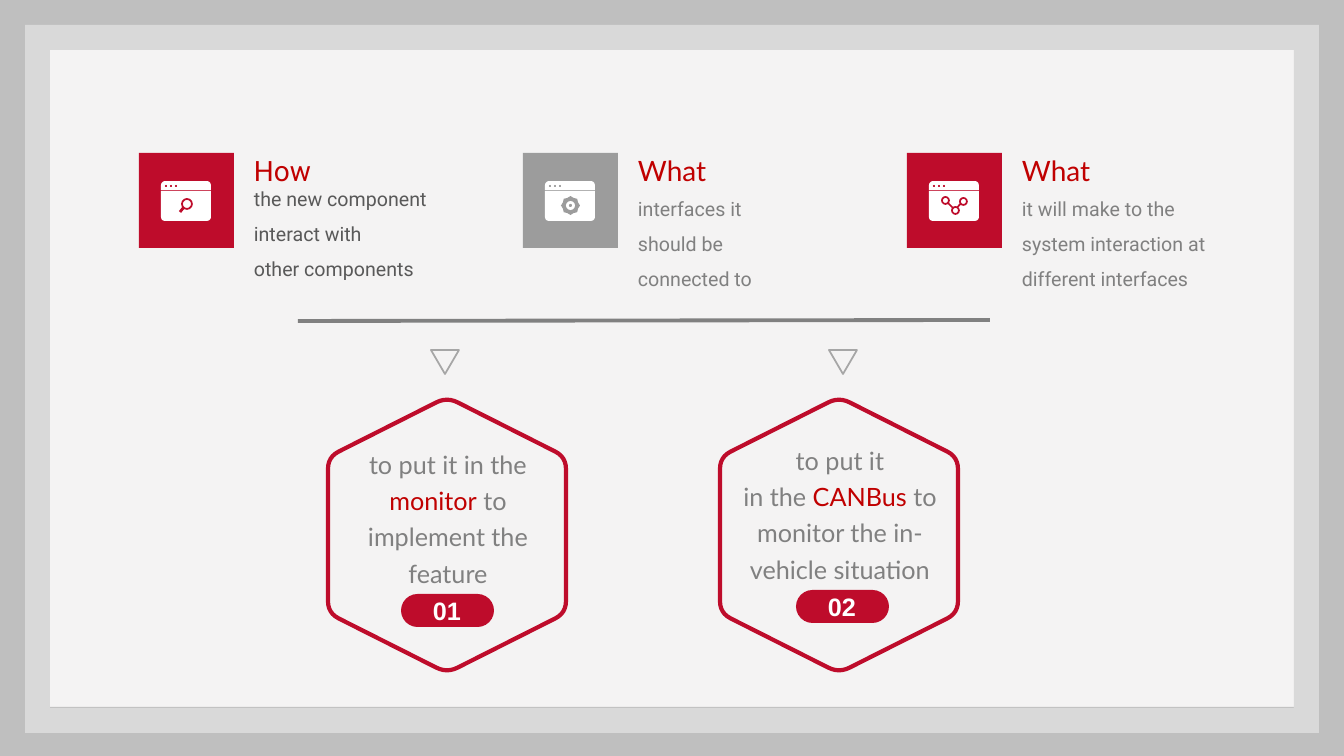
import pptx
import pptx.util
import pptx.dml.color
import pptx.enum.shapes
import pptx.enum.text
import pptx.oxml.ns
import lxml.etree

RGB = pptx.dml.color.RGBColor
SHAPE = pptx.enum.shapes.MSO_SHAPE
ALIGN = pptx.enum.text.PP_ALIGN

EMU_PER_PX = 12192000 / 1344
WIDTH, HEIGHT = 1344, 756

PAPER = RGB(0xF4, 0xF3, 0xF3)
OUTER_FRAME = RGB(0xBF, 0xBF, 0xBF)
INNER_FRAME = RGB(0xD9, 0xD9, 0xD9)
CRIMSON = RGB(0xBE, 0x0C, 0x2B)
ACCENT = RGB(0xC0, 0x00, 0x00)
TILE_GRAY = RGB(0x9C, 0x9C, 0x9C)
MARKER_GRAY = RGB(0xA6, 0xA6, 0xA6)
GRAY = RGB(0x80, 0x80, 0x80)
DARK = RGB(0x59, 0x59, 0x59)
WHITE = RGB(0xFF, 0xFF, 0xFF)


def px(length):
    return pptx.util.Emu(round(length * EMU_PER_PX))


class Canvas:
    def __init__(self, slide):
        self.slide = slide
        self.shapes = slide.shapes

    def paint(self, shape, fill, line, weight):
        shape.shadow.inherit = False
        if fill is None:
            shape.fill.background()
        else:
            shape.fill.solid()
            shape.fill.fore_color.rgb = fill
        if line is None:
            shape.line.fill.background()
        else:
            shape.line.color.rgb = line
            shape.line.width = pptx.util.Pt(weight)

    def shape(self, kind, left, top, width, height, fill=None, line=None,
              weight=1, adjust=(), rotation=0):
        shape = self.shapes.add_shape(kind, px(left), px(top), px(width), px(height))
        for index, value in enumerate(adjust):
            shape.adjustments[index] = value
        shape.rotation = rotation
        self.paint(shape, fill, line, weight)

    def outline(self, points, line, weight):
        corners = [(px(x), px(y)) for x, y in points]
        builder = self.shapes.build_freeform(*corners[0], scale=1.0)
        builder.add_line_segments(corners[1:], close=True)
        self.paint(builder.convert_to_shape(), None, line, weight)

    def line(self, x1, y1, x2, y2, color, weight):
        line = self.shapes.add_connector(pptx.enum.shapes.MSO_CONNECTOR.STRAIGHT,
                                         px(x1), px(y1), px(x2), px(y2))
        line.line.color.rgb = color
        line.line.width = pptx.util.Pt(weight)
        properties = line._element.spPr
        lxml.etree.SubElement(properties, pptx.oxml.ns.qn("a:effectLst"))

    def text(self, paragraphs, left, top, width, height, font="Lato", size=18,
             color=GRAY, bold=False, align=ALIGN.LEFT, spacing=None, wrap=True):
        """Each paragraph is a string or a list of (text, color) runs."""
        box = self.shapes.add_textbox(px(left), px(top), px(width), px(height))
        frame = box.text_frame
        frame.word_wrap = wrap
        frame.auto_size = pptx.enum.text.MSO_AUTO_SIZE.SHAPE_TO_FIT_TEXT
        for index, content in enumerate(paragraphs):
            paragraph = frame.add_paragraph() if index else frame.paragraphs[0]
            paragraph.alignment = align
            paragraph.line_spacing = spacing
            runs = [(content, color)] if isinstance(content, str) else content
            for words, run_color in runs:
                run = paragraph.add_run()
                run.text = words
                run.font.name = font
                run.font.size = pptx.util.Pt(size)
                run.font.bold = bold
                run.font.color.rgb = run_color


def search_glyph(canvas, left, color):
    canvas.line(left + 45, 207, left + 41, 212, color, 2)
    canvas.shape(SHAPE.OVAL, left + 43, 199, 10, 10, WHITE, color, 1.25)


def gear_glyph(canvas, left, color):
    canvas.shape(SHAPE.STAR_8_POINT, left + 38, 196, 19, 19, color, adjust=[0.43])
    canvas.shape(SHAPE.OVAL, left + 43, 201, 9, 9, WHITE)
    canvas.shape(SHAPE.OVAL, left + 46, 204, 3, 3, color)


def network_glyph(canvas, left, color):
    nodes = [(left + 38, 200), (left + 48, 210), (left + 56, 201)]
    for start, end in zip(nodes, nodes[1:]):
        canvas.line(*start, *end, color, 1.25)
    for x, y in nodes:
        canvas.shape(SHAPE.OVAL, x - 3, y - 3, 7, 7, WHITE, color, 1.25)


def window_icon(canvas, left, color, glyph):
    canvas.shape(SHAPE.RECTANGLE, left, 153, 95, 95, color)
    canvas.shape(SHAPE.ROUND_2_SAME_RECTANGLE, left + 22, 181, 50, 9, WHITE,
                 adjust=[0.45, 0])
    canvas.shape(SHAPE.ROUND_2_SAME_RECTANGLE, left + 22, 191, 50, 30, WHITE,
                 adjust=[0, 0.13])
    for dot in range(3):
        canvas.shape(SHAPE.OVAL, left + 26 + 5 * dot, 185, 2, 2, color)
    glyph(canvas, left, color)


def rounded_hexagon(center_x, center_y, cut=12, steps=6):
    """Points of an upright hexagon whose corners are quadratic curves."""
    corners = [(center_x + x, center_y + y) for x, y in
               [(0, -138), (119, -78), (119, 78), (0, 138), (-119, 78), (-119, -78)]]

    def toward(start, end):
        dx, dy = end[0] - start[0], end[1] - start[1]
        share = cut / (dx * dx + dy * dy) ** 0.5
        return start[0] + dx * share, start[1] + dy * share

    points = []
    for index, corner in enumerate(corners):
        entry = toward(corner, corners[index - 1])
        leave = toward(corner, corners[(index + 1) % 6])
        for step in range(steps + 1):
            t = step / steps
            points.append(tuple((1 - t) ** 2 * a + 2 * t * (1 - t) * b + t * t * c
                                for a, b, c in zip(entry, corner, leave)))
    return points


def main():
    deck = pptx.Presentation()
    deck.slide_width, deck.slide_height = px(WIDTH), px(HEIGHT)
    canvas = Canvas(deck.slides.add_slide(deck.slide_layouts[6]))

    # Background and double frame
    background = canvas.slide.background.fill
    background.solid()
    background.fore_color.rgb = PAPER
    canvas.shape(SHAPE.FRAME, 0, 0, WIDTH, HEIGHT, OUTER_FRAME, adjust=[49 / HEIGHT])
    canvas.shape(SHAPE.FRAME, 25, 25, 1294, 708, INNER_FRAME, adjust=[25 / 708])

    # Three questions with their icons
    questions = [
        ("How", "Roboto", ["the new component interact with", "other components"],
         170, 227, DARK, CRIMSON, search_glyph),
        ("What", "Lato", ["interfaces it", "should be", "connected to"],
         180, 251, GRAY, TILE_GRAY, gear_glyph),
        ("What", "Lato", ["it will make to the system interaction at different interfaces"],
         180, 211, GRAY, CRIMSON, network_glyph),
    ]
    for column, (title, font, details, top, width, ink, tile, glyph) in enumerate(questions):
        left = 139 + 384 * column
        window_icon(canvas, left, tile, glyph)
        canvas.text(details, left + 105, top, width, 117, font="Roboto", size=14,
                    color=ink, spacing=1.5)
        canvas.text([title], left + 105, 142, 207, 50, font=font, size=20,
                    color=ACCENT, align=ALIGN.JUSTIFY, spacing=1.2)

    # Divider
    canvas.line(298, 321, 990, 320, GRAY, 2.75)

    # Two options: marker, hexagon, text and number
    options = [
        ("01", 447, 431, 401, 438,
         ["to put it in the",
          [("monitor", ACCENT), (" to implement the feature", GRAY)]]),
        ("02", 839, 829, 796, 434,
         ["to put it",
          [("in the ", GRAY), ("CANBus", ACCENT),
           (" to monitor the in-vehicle situation", GRAY)]]),
    ]
    for number, center, marker_left, pill_left, top, lines in options:
        canvas.shape(SHAPE.ISOSCELES_TRIANGLE, marker_left, 350, 28, 24,
                     line=MARKER_GRAY, weight=1.25, rotation=180)
        canvas.outline(rounded_hexagon(center, 535), CRIMSON, 3)
        canvas.text(lines, center - 106, top, 214, 156, align=ALIGN.CENTER, spacing=1.2)
        canvas.shape(SHAPE.ROUNDED_RECTANGLE, pill_left, top + 156, 93, 33, CRIMSON,
                     adjust=[0.5])
        canvas.text([number], pill_left + 22, top + 152, 48, 40, font="Arial",
                    color=WHITE, bold=True, wrap=False)

    deck.save("out.pptx")


if __name__ == "__main__":
    main()
